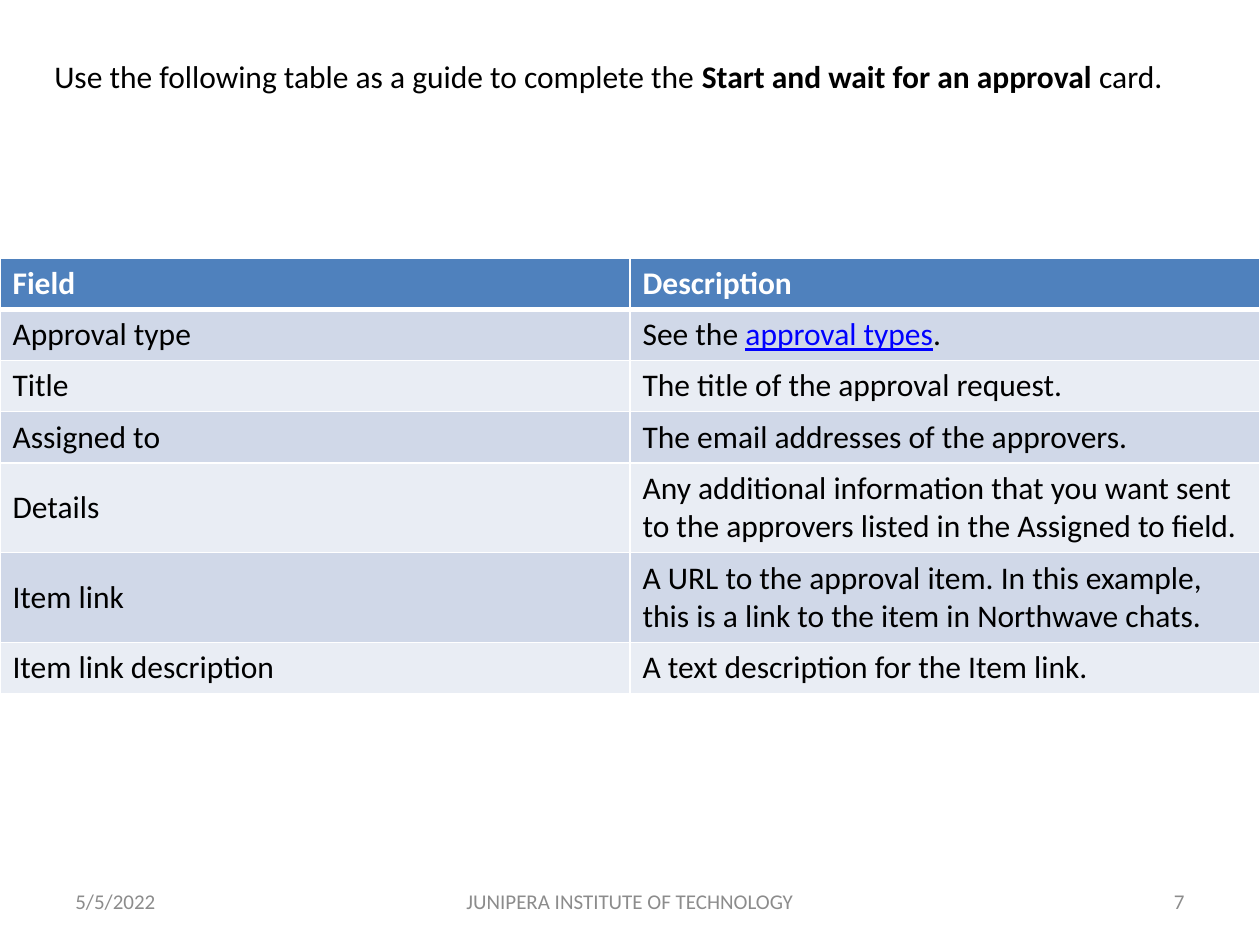
from dataclasses import dataclass

from lxml import etree
from pptx import Presentation
from pptx.dml.color import RGBColor
from pptx.enum.text import MSO_ANCHOR, MSO_AUTO_SIZE, PP_ALIGN
from pptx.oxml.ns import qn
from pptx.util import Cm, Pt

LEFT, CENTER, RIGHT = PP_ALIGN.LEFT, PP_ALIGN.CENTER, PP_ALIGN.RIGHT
TOP, MIDDLE = MSO_ANCHOR.TOP, MSO_ANCHOR.MIDDLE
NO_AUTOFIT = MSO_AUTO_SIZE.NONE
TITLE_ONLY = 5


@dataclass(frozen=True)
class Theme:
    font: str = "Calibri"
    body_size: int = 18
    footer_size: int = 12
    ink: str = "000000"
    paper: str = "FFFFFF"
    muted: str = "8C8C8C"
    link: str = "0000FF"
    header: str = "4F81BD"
    bands: tuple = ("D0D8E8", "E9EDF4")
    rule: int = 1
    header_rule: int = 3


THEME = Theme()
SLIDE_WIDTH, SLIDE_HEIGHT = 25.4, 19.05
TABLE_TOP = 5.21
LINE_HEIGHT, ROW_PADDING = 0.78, 0.25

INTRO = [
    ("Use the following table as a guide to complete the ", {}),
    ("Start and wait for an approval", {"bold": True}),
    (" card.", {}),
]
FIELDS = [
    ("Field", "Description", 1),
    ("Approval type",
     [("See the ", {}),
      ("approval types", {"color": THEME.link, "underline": True}),
      (".", {})], 1),
    ("Title", "The title of the approval request.", 1),
    ("Assigned to", "The email addresses of the approvers.", 1),
    ("Details", "Any additional information that you want sent to the "
     "approvers listed in the Assigned to field.", 2),
    ("Item link", "A URL to the approval item. In this example, this is "
     "a link to the item in Northwave chats.", 2),
    ("Item link description", "A text description for the Item link.", 1),
]
FOOTERS = [
    ("5/5/2022", 1.27, 5.93, LEFT),
    ("JUNIPERA INSTITUTE OF TECHNOLOGY", 8.68, 8.04, CENTER),
    ("7", 18.2, 5.93, RIGHT),
]


def write_runs(frame, runs, size=THEME.body_size, color=THEME.ink,
               bold=False, align=LEFT):
    paragraph = frame.paragraphs[0]
    paragraph.alignment = align
    for words, style in runs:
        run = paragraph.add_run()
        run.text = words
        run.font.name = THEME.font
        run.font.size = Pt(size)
        run.font.bold = style.get("bold", bold)
        run.font.underline = style.get("underline", False)
        run.font.color.rgb = RGBColor.from_string(style.get("color", color))


def place_intro(slide):
    intro = slide.shapes.title
    intro.left, intro.top = Cm(0.84), Cm(1.02)
    intro.width, intro.height = Cm(23.88), Cm(1.8)
    frame = intro.text_frame
    frame.word_wrap = True
    frame.auto_size = NO_AUTOFIT
    frame.vertical_anchor = TOP
    write_runs(frame, INTRO)


def add_footer(slide, words, left, width, align):
    footer = slide.shapes.add_textbox(Cm(left), Cm(17.65), Cm(width), Cm(1.02))
    frame = footer.text_frame
    frame.word_wrap = True
    frame.vertical_anchor = MIDDLE
    write_runs(frame, [(words, {})], THEME.footer_size, THEME.muted, align=align)


def set_borders(cell, top, bottom):
    properties = cell._tc.get_or_add_tcPr()
    widths = {"L": THEME.rule, "R": THEME.rule, "T": top, "B": bottom}
    for side, width in widths.items():
        line = etree.SubElement(properties, qn(f"a:ln{side}"), w=str(Pt(width)))
        fill = etree.SubElement(line, qn("a:solidFill"))
        etree.SubElement(fill, qn("a:srgbClr"), val=THEME.paper)


def fill_cell(cell, content, row):
    is_header = row == 0
    set_borders(cell,
                THEME.header_rule if row == 1 else THEME.rule,
                THEME.header_rule if is_header else THEME.rule)
    background = THEME.header if is_header else THEME.bands[(row - 1) % 2]
    cell.fill.solid()
    cell.fill.fore_color.rgb = RGBColor.from_string(background)
    cell.vertical_anchor = MIDDLE
    runs = [(content, {})] if isinstance(content, str) else content
    write_runs(cell.text_frame, runs,
               color=THEME.paper if is_header else THEME.ink, bold=is_header)


def add_field_table(slide):
    heights = [lines * LINE_HEIGHT + ROW_PADDING for *_, lines in FIELDS]
    table = slide.shapes.add_table(
        len(FIELDS), 2, Cm(0), Cm(TABLE_TOP),
        Cm(SLIDE_WIDTH), Cm(sum(heights))).table
    for row, (field, description, _) in enumerate(FIELDS):
        table.rows[row].height = Cm(heights[row])
        for column, content in enumerate((field, description)):
            fill_cell(table.cell(row, column), content, row)


def main():
    deck = Presentation()
    deck.slide_width, deck.slide_height = Cm(SLIDE_WIDTH), Cm(SLIDE_HEIGHT)
    slide = deck.slides.add_slide(deck.slide_layouts[TITLE_ONLY])
    for footer in FOOTERS:
        add_footer(slide, *footer)
    add_field_table(slide)
    place_intro(slide)
    deck.save("out.pptx")


if __name__ == "__main__":
    main()
